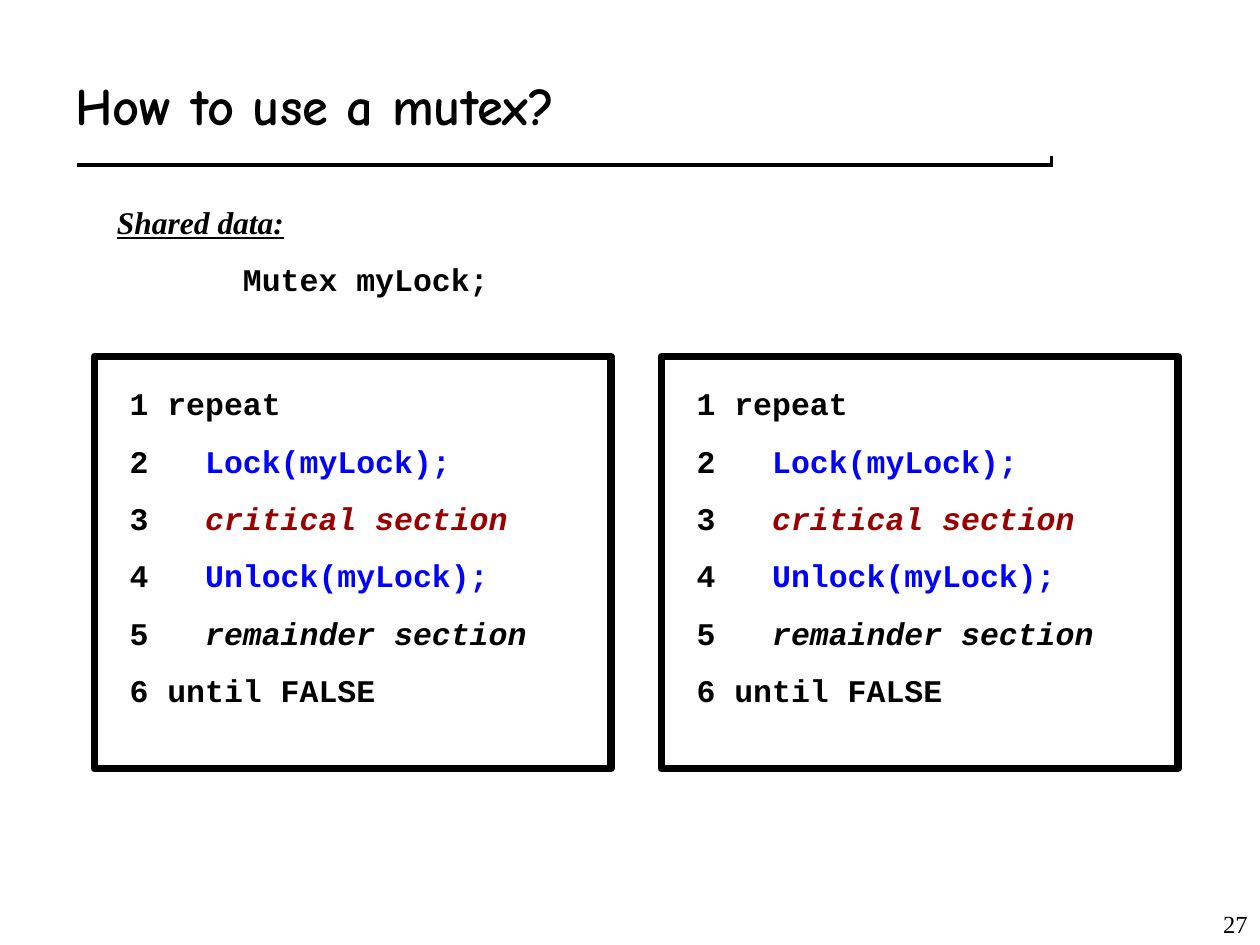
from dataclasses import dataclass

from lxml.etree import SubElement
from pptx import Presentation
from pptx.dml.color import RGBColor
from pptx.enum.shapes import MSO_CONNECTOR, MSO_SHAPE
from pptx.enum.text import MSO_ANCHOR, MSO_AUTO_SIZE, PP_ALIGN
from pptx.oxml.ns import qn
from pptx.util import Inches, Length, Pt

COLUMNS, ROWS = 100, 75
BLACK, WHITE, BLUE, RED = "000000", "FFFFFF", "0000FF", "990000"
CODE_FONT, SERIF_FONT, TITLE_FONT = "Courier New", "Times New Roman", "Comic Neue"
LINE_GAP = Pt(11.2)

deck = Presentation()
deck.slide_width, deck.slide_height = Inches(10), Inches(7.5)
slide = deck.slides.add_slide(deck.slide_layouts[6])


@dataclass(frozen=True)
class Area:
    """A place on the grid, in columns and rows."""
    left: float
    top: float
    width: float
    height: float

    def lengths(self) -> tuple[Length, Length, Length, Length]:
        return col(self.left), row(self.top), col(self.width), row(self.height)


@dataclass(frozen=True)
class CodeLine:
    prefix: str
    statement: str = ""
    color: str = BLACK
    italic: bool = False


MUTEX_CODE = [
    CodeLine("1 repeat"),
    CodeLine("2   ", "Lock(myLock);", BLUE),
    CodeLine("3   ", "critical section", RED, italic=True),
    CodeLine("4   ", "Unlock(myLock);", BLUE),
    CodeLine("5   ", "remainder section", italic=True),
    CodeLine("6 until FALSE"),
]


def col(count: float) -> Length:
    return Length(round(deck.slide_width * count / COLUMNS))


def row(count: float) -> Length:
    return Length(round(deck.slide_height * count / ROWS))


def rgb(value: str) -> RGBColor:
    return RGBColor.from_string(value)


def set_font(font, name: str, size: float, bold: bool = True) -> None:
    font.name, font.size, font.bold = name, Pt(size), bold
    font.color.rgb = rgb(BLACK)


def add_text_frame(area: Area, anchor=MSO_ANCHOR.TOP, grow: bool = False):
    frame = slide.shapes.add_textbox(*area.lengths()).text_frame
    frame.word_wrap = True
    frame.vertical_anchor = anchor
    frame.auto_size = MSO_AUTO_SIZE.SHAPE_TO_FIT_TEXT if grow else MSO_AUTO_SIZE.NONE
    return frame


def next_paragraph(frame, index: int):
    """Use the frame's first paragraph, then add spaced ones."""
    if index == 0:
        return frame.paragraphs[0]
    paragraph = frame.add_paragraph()
    paragraph.space_before = LINE_GAP
    return paragraph


def add_title_rule(left: float, y: float, color: str) -> None:
    rule = slide.shapes.add_connector(
        MSO_CONNECTOR.STRAIGHT, col(left), row(y), col(left + 77.5), row(y))
    rule.line.color.rgb = rgb(color)
    rule.line.width = Pt(6)
    SubElement(rule._element.spPr, qn("a:effectLst"))


def add_code_panel(left: float) -> None:
    frame = add_text_frame(Area(left + 1.8, 30, 42.3, 26.8), grow=True)
    for index, line in enumerate(MUTEX_CODE):
        paragraph = next_paragraph(frame, index)
        set_font(paragraph.font, CODE_FONT, 18)
        paragraph.add_run().text = line.prefix
        if line.statement:
            statement = paragraph.add_run()
            statement.text = line.statement
            statement.font.color.rgb = rgb(line.color)
            statement.font.italic = line.italic
    border = slide.shapes.add_shape(
        MSO_SHAPE.RECTANGLE, *Area(left, 28.3, 41, 32.7).lengths())
    border.shadow.inherit = False
    border.fill.background()
    border.line.color.rgb = rgb(BLACK)
    border.line.width = Pt(4.5)


def add_shared_data() -> None:
    frame = add_text_frame(Area(8.3, 15.6, 42.3, 8.6), grow=True)
    heading = next_paragraph(frame, 0)
    heading.text = "Shared data:"
    set_font(heading.font, SERIF_FONT, 18)
    heading.font.italic = heading.font.underline = True

    declaration = next_paragraph(frame, 1)
    tabs = SubElement(declaration._p.get_or_add_pPr(), qn("a:tabLst"))
    SubElement(tabs, qn("a:tab"), pos=str(Inches(1)), algn="l")
    set_font(declaration.font, CODE_FONT, 18)
    declaration.text = "\tMutex myLock;"


def add_label(text: str, area: Area, anchor, align, font: str, size: float, bold: bool) -> None:
    paragraph = add_text_frame(area, anchor).paragraphs[0]
    paragraph.text = text
    paragraph.alignment = align
    set_font(paragraph.font, font, size, bold)


def main() -> None:
    add_title_rule(6.1, 12.8, BLACK)
    add_title_rule(5.8, 12.5, WHITE)
    add_label("How to use a mutex?", Area(5, 3.3, 85.8, 10),
              MSO_ANCHOR.MIDDLE, PP_ALIGN.LEFT, TITLE_FONT, 30, True)
    for panel in range(2):
        add_code_panel(7.5 + 45 * panel)
    add_shared_data()
    add_label("27", Area(79.2, 70, 20.8, 5),
              MSO_ANCHOR.BOTTOM, PP_ALIGN.RIGHT, SERIF_FONT, 14, False)
    deck.save("out.pptx")


if __name__ == "__main__":
    main()
